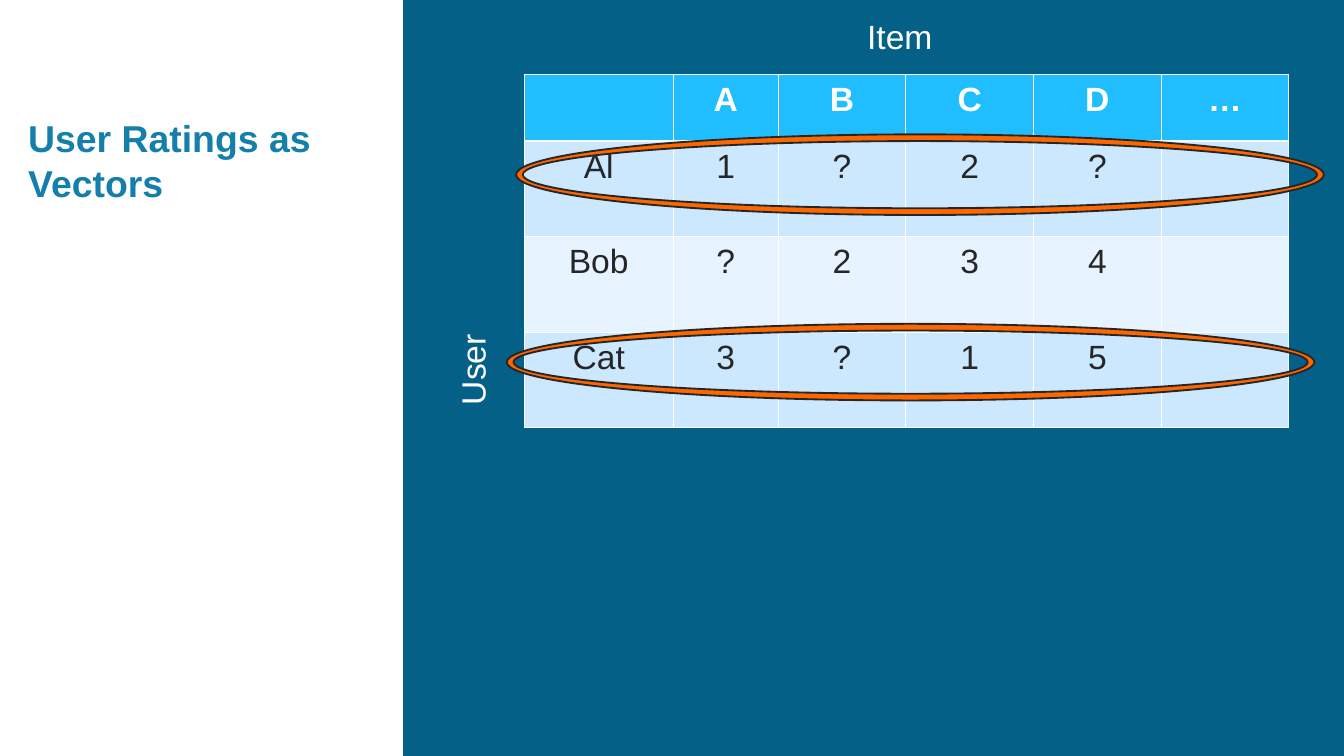
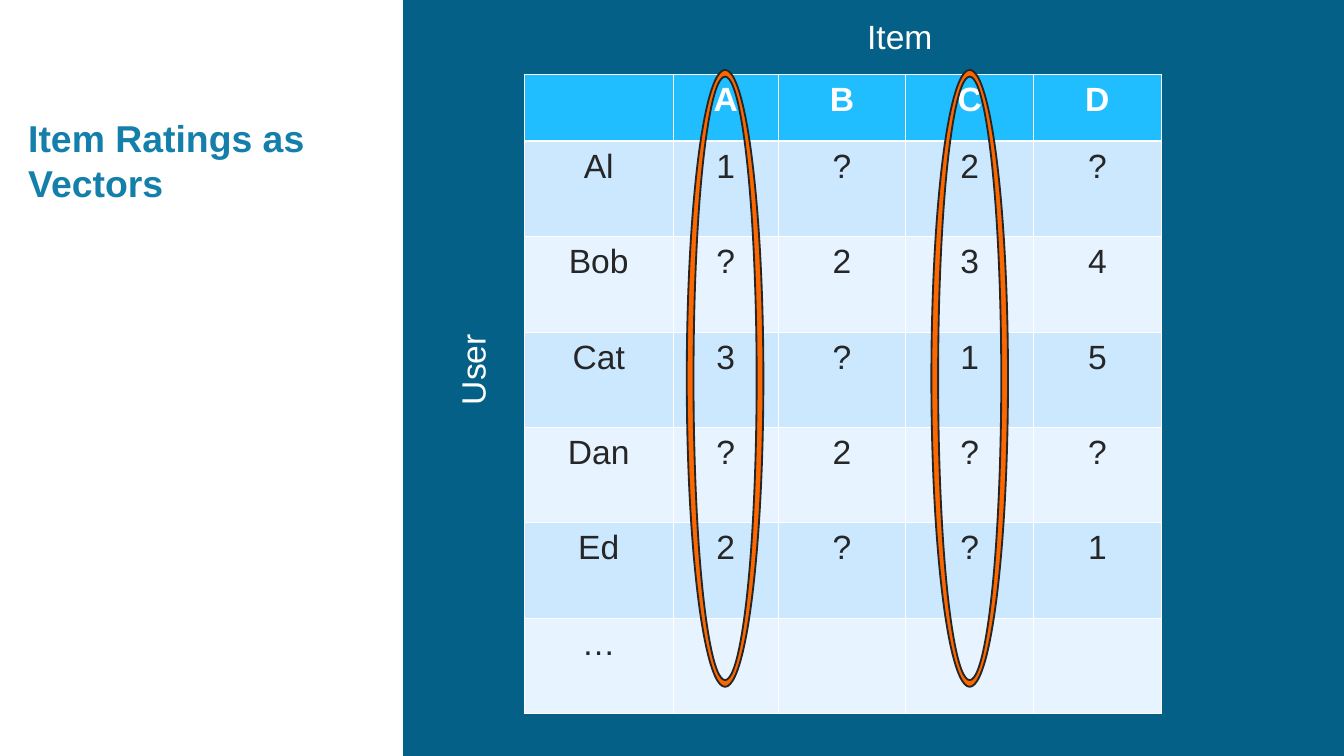
import dataclasses

import pptx
import pptx.dml.color
import pptx.enum.shapes
import pptx.enum.text
import pptx.oxml
import pptx.oxml.ns
import pptx.presentation
import pptx.shapes.autoshape
import pptx.slide
import pptx.table
import pptx.text.text
import pptx.util

Inches = pptx.util.Inches
Pt = pptx.util.Pt
RGBColor = pptx.dml.color.RGBColor
ALIGN = pptx.enum.text.PP_ALIGN
SHAPE = pptx.enum.shapes.MSO_SHAPE

PANEL_BLUE = RGBColor(0x04, 0x60, 0x86)
TITLE_BLUE = RGBColor(0x15, 0x7F, 0xAB)
HEADER_BLUE = RGBColor(0x20, 0xBE, 0xFF)
BAND_COLOURS = (RGBColor(0xCC, 0xE8, 0xFF), RGBColor(0xE7, 0xF4, 0xFF))
RING_ORANGE = RGBColor(0xFD, 0x67, 0x00)
INK = RGBColor(0x26, 0x26, 0x26)
WHITE = RGBColor(0xFF, 0xFF, 0xFF)

FONT = "Arial"
SLIDE_WIDTH = 10
SLIDE_HEIGHT = SLIDE_WIDTH * 9 / 16
TABLE_LEFT, TABLE_TOP = 3.9, 0.55
NAME_WIDTH, FIRST_ITEM_WIDTH, ITEM_WIDTH = 1.11, 0.78, 0.95
HEADER_HEIGHT, USER_HEIGHT = 0.5, 0.71
THIN_BORDER, HEADER_BORDER = Pt(0.45), Pt(1.47)
RING_THICKNESS = 0.05


@dataclasses.dataclass(frozen=True)
class AxisLabel:
    text: str
    left: float
    top: float
    width: float
    rotation: int = 0


@dataclasses.dataclass(frozen=True)
class Ring:
    left: float
    top: float
    width: float
    height: float
    rotation: int = 0


@dataclasses.dataclass(frozen=True)
class RatingsSlide:
    title: str
    ratings: list[list[str]]
    rings: list[Ring]


AXIS_LABELS = [
    AxisLabel("User", 1.29, 2.55, 4.45, rotation=270),
    AxisLabel("Item", 3.8, 0.07, 5.79),
]

ALL_RATINGS = [
    ["", "A", "B", "C", "D", "…"],
    ["Al", "1", "?", "2", "?", ""],
    ["Bob", "?", "2", "3", "4", ""],
    ["Cat", "3", "?", "1", "5", ""],
    ["Dan", "?", "2", "?", "?", ""],
    ["Ed", "2", "?", "?", "1", ""],
    ["…", "", "", "", "", ""],
]

RATINGS_SLIDES = [
    RatingsSlide(
        "User Ratings as Vectors",
        ALL_RATINGS[:4],
        [Ring(3.84, 1, 6.01, 0.6), Ring(3.77, 2.41, 6.01, 0.57)],
    ),
    RatingsSlide(
        "Item Ratings as Vectors",
        [row[:5] for row in ALL_RATINGS],
        [Ring(left, 2.53, 4.59, 0.57, rotation=90) for left in (3.1, 4.92)],
    ),
]


def write_text(
    text_frame: pptx.text.text.TextFrame,
    text: str,
    *,
    size: float = 18,
    colour: RGBColor = WHITE,
    bold: bool = False,
    align: ALIGN = ALIGN.CENTER,
) -> None:
    paragraph = text_frame.paragraphs[0]
    paragraph.alignment = align
    run = paragraph.add_run()
    run.text = text
    run.font.name = FONT
    run.font.size = Pt(size)
    run.font.bold = bold
    run.font.color.rgb = colour


def move_panel_to_layout(
    panel: pptx.shapes.autoshape.Shape, layout: pptx.slide.SlideLayout
) -> None:
    """Put the panel behind everything on each slide that uses the layout."""
    layout.element.cSld.spTree.insert(2, panel.element)


def add_panel(slide: pptx.slide.Slide) -> pptx.shapes.autoshape.Shape:
    panel = slide.shapes.add_shape(
        SHAPE.RECTANGLE, Inches(3), 0, Inches(7), Inches(SLIDE_HEIGHT)
    )
    panel.shadow.inherit = False
    panel.fill.solid()
    panel.fill.fore_color.rgb = PANEL_BLUE
    panel.line.fill.background()
    return panel


def fill_title(slide: pptx.slide.Slide, text: str) -> None:
    title = slide.shapes.title
    title.left, title.top = Inches(0.11), Inches(0.81)
    title.width, title.height = Inches(2.64), Inches(0.99)
    text_frame = title.text_frame
    text_frame.word_wrap = True
    text_frame.auto_size = pptx.enum.text.MSO_AUTO_SIZE.NONE
    text_frame.vertical_anchor = pptx.enum.text.MSO_ANCHOR.TOP
    write_text(
        text_frame, text, size=20, colour=TITLE_BLUE, bold=True, align=ALIGN.LEFT
    )


def add_border(cell: pptx.table._Cell, side: str, width: int) -> None:
    namespace = pptx.oxml.ns.nsdecls("a")
    border = pptx.oxml.parse_xml(
        f'<a:ln{side} {namespace} w="{width}"><a:solidFill>'
        f'<a:srgbClr val="{WHITE}"/></a:solidFill></a:ln{side}>'
    )
    cell._tc.get_or_add_tcPr().append(border)


def format_cell(cell: pptx.table._Cell, text: str, row: int) -> None:
    is_header = row == 0
    widths = {
        "L": THIN_BORDER,
        "R": THIN_BORDER,
        "T": HEADER_BORDER if row == 1 else THIN_BORDER,
        "B": HEADER_BORDER if is_header else THIN_BORDER,
    }
    for side, width in widths.items():
        add_border(cell, side, width)
    cell.fill.solid()
    cell.fill.fore_color.rgb = HEADER_BLUE if is_header else BAND_COLOURS[(row - 1) % 2]
    if text:
        colour = WHITE if is_header else INK
        write_text(cell.text_frame, text, colour=colour, bold=is_header)


def add_ratings_table(slide: pptx.slide.Slide, ratings: list[list[str]]) -> None:
    column_count = len(ratings[0])
    widths = [NAME_WIDTH, FIRST_ITEM_WIDTH] + [ITEM_WIDTH] * (column_count - 2)
    heights = [HEADER_HEIGHT] + [USER_HEIGHT] * (len(ratings) - 1)
    table = slide.shapes.add_table(
        len(ratings),
        column_count,
        Inches(TABLE_LEFT),
        Inches(TABLE_TOP),
        Inches(sum(widths)),
        Inches(sum(heights)),
    ).table
    for column, width in zip(table.columns, widths):
        column.width = Inches(width)
    for row, height in zip(table.rows, heights):
        row.height = Inches(height)
    for row_index, values in enumerate(ratings):
        for column_index, value in enumerate(values):
            format_cell(table.cell(row_index, column_index), value, row_index)


def add_axis_label(slide: pptx.slide.Slide, label: AxisLabel) -> None:
    box = slide.shapes.add_textbox(
        Inches(label.left), Inches(label.top), Inches(label.width), Inches(0.4)
    )
    box.rotation = label.rotation
    box.text_frame.word_wrap = True
    box.text_frame.auto_size = pptx.enum.text.MSO_AUTO_SIZE.SHAPE_TO_FIT_TEXT
    write_text(box.text_frame, label.text)


def add_ring(slide: pptx.slide.Slide, ring: Ring) -> None:
    shape = slide.shapes.add_shape(
        SHAPE.DONUT,
        Inches(ring.left),
        Inches(ring.top),
        Inches(ring.width),
        Inches(ring.height),
    )
    shape.adjustments[0] = RING_THICKNESS / min(ring.width, ring.height)
    shape.rotation = ring.rotation
    shape.shadow.inherit = False
    shape.fill.solid()
    shape.fill.fore_color.rgb = RING_ORANGE
    shape.line.color.rgb = INK
    shape.line.width = Pt(1)


def main() -> None:
    presentation = pptx.Presentation()
    presentation.slide_width = Inches(SLIDE_WIDTH)
    presentation.slide_height = Inches(SLIDE_HEIGHT)
    layout = presentation.slide_layouts.get_by_name("Title Only")

    for index, content in enumerate(RATINGS_SLIDES):
        slide = presentation.slides.add_slide(layout)
        if index == 0:
            move_panel_to_layout(add_panel(slide), layout)
        fill_title(slide, content.title)
        add_ratings_table(slide, content.ratings)
        for label in AXIS_LABELS:
            add_axis_label(slide, label)
        for ring in content.rings:
            add_ring(slide, ring)

    presentation.save("out.pptx")


if __name__ == "__main__":
    main()
